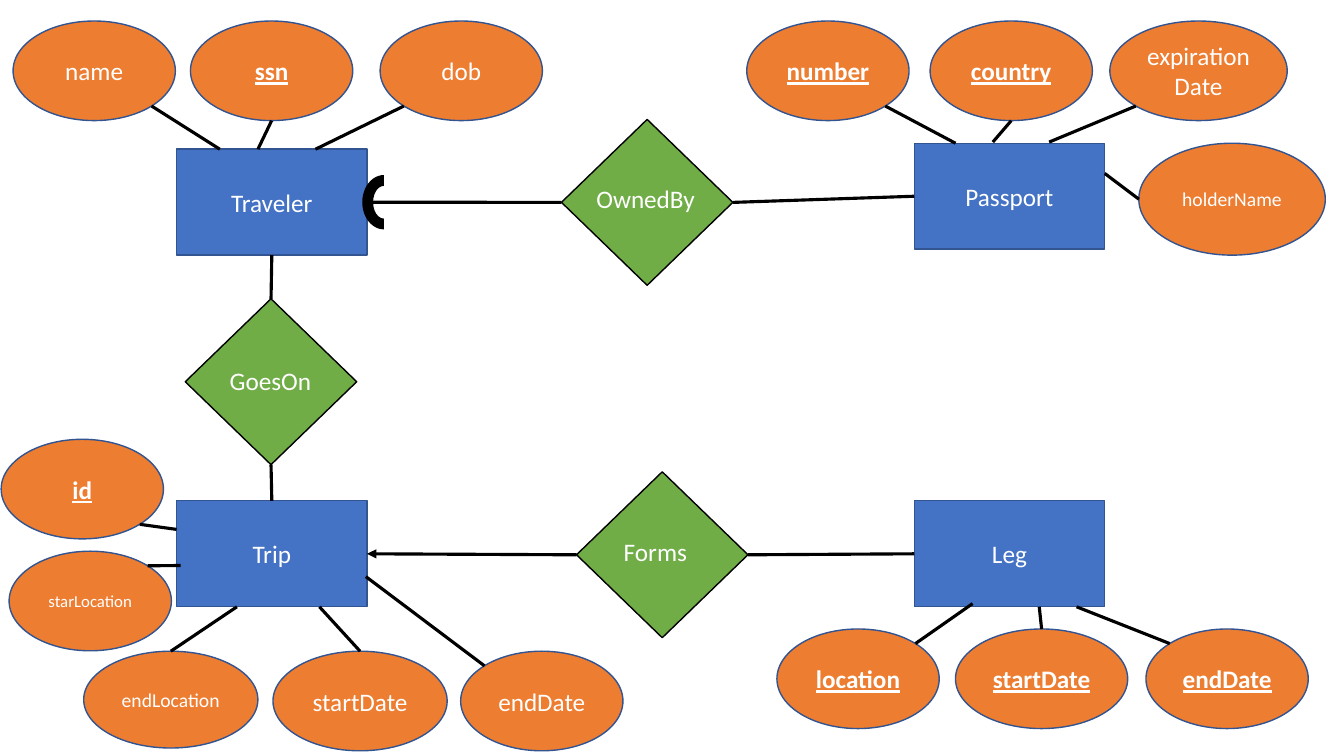
from math import sqrt
from pptx import Presentation
from pptx.dml.color import RGBColor
from pptx.enum.shapes import MSO_CONNECTOR, MSO_SHAPE
from pptx.enum.text import MSO_ANCHOR, PP_ALIGN
from pptx.oxml.ns import qn
from pptx.util import Cm, Pt
from lxml import etree

BLUE = RGBColor(0x44, 0x72, 0xC4)
ORANGE = RGBColor(0xED, 0x7D, 0x31)
GREEN = RGBColor(0x70, 0xAD, 0x47)
OUTLINE = RGBColor(0x32, 0x54, 0x91)
BLACK = RGBColor(0, 0, 0)
WHITE = RGBColor(255, 255, 255)

TOP, LEFT, BOTTOM, RIGHT = range(4)

prs = Presentation()
prs.slide_width, prs.slide_height = Cm(33.87), Cm(19.05)
slide = prs.slides.add_slide(prs.slide_layouts[6])


def add_figure(kind, x, y, w, h, fill, outline, label="", size=18, key=False):
    figure = slide.shapes.add_shape(kind, Cm(x), Cm(y), Cm(w), Cm(h))
    figure.shadow.inherit = False
    figure.fill.solid()
    figure.fill.fore_color.rgb = fill
    figure.line.color.rgb = outline
    figure.line.width = Pt(1)
    if label:
        frame = figure.text_frame
        frame.text = label
        frame.vertical_anchor = MSO_ANCHOR.MIDDLE
        frame.paragraphs[0].alignment = PP_ALIGN.CENTER
        font = frame.paragraphs[0].runs[0].font
        font.name, font.size, font.color.rgb = "Calibri", Pt(size), WHITE
        if key:
            font.bold = font.underline = True
    return figure


def add_line(x1=0, y1=0, x2=0, y2=0):
    line = slide.shapes.add_connector(
        MSO_CONNECTOR.STRAIGHT, Cm(x1), Cm(y1), Cm(x2), Cm(y2))
    line.line.color.rgb = BLACK
    line.line.width = Pt(2.25)
    etree.SubElement(line._element.spPr, qn("a:effectLst"))
    return line


# Entities
nodes = {}
for name, x, y in [("Traveler", 4.45, 3.76), ("Trip", 4.45, 12.62),
                   ("Passport", 23.04, 3.61), ("Leg", 23.04, 12.62)]:
    nodes[name] = add_figure(MSO_SHAPE.RECTANGLE, x, y, 4.8, 2.67,
                             BLUE, OUTLINE, name)

# Attributes: label, key, text size, box, side the line leaves from, line end
attributes = [
    ("name", False, 18, (0.33, 0.53, 4.09, 2.51), (1, 1), (5.54, 3.76)),
    ("ssn", True, 18, (4.8, 0.53, 4.09, 2.51), (0, 1), (6.5, 3.76)),
    ("dob", False, 18, (9.58, 0.53, 4.09, 2.51), (-1, 1), (7.95, 3.76)),
    ("number", True, 18, (18.82, 0.53, 4.09, 2.51), (1, 1), (24.08, 3.61)),
    ("country", True, 18, (23.44, 0.53, 4.09, 2.51), (0, 1), (25.02, 3.58)),
    ("expiration Date", False, 18, (27.97, 0.53, 4.47, 2.51), (-1, 1), (26.44, 3.58)),
    ("holderName", False, 14, (28.7, 3.61, 4.7, 2.82), (-1, 0), (27.84, 4.37)),
    ("id", True, 18, (0.03, 11.07, 4.09, 2.51), (1, 1), (4.45, 13.34)),
    ("starLocation", False, 12, (0.23, 13.89, 4.09, 2.51), (1, -1), (4.55, 14.25)),
    ("endLocation", False, 14, (2.11, 16.41, 4.39, 2.44), (0, -1), (5.97, 15.29)),
    ("startDate", False, 18, (6.88, 16.41, 4.39, 2.51), (0, -1), (8.05, 15.29)),
    ("endDate", False, 18, (11.61, 16.41, 4.09, 2.51), (-1, -1), (9.22, 14.53)),
    ("location", True, 18, (19.58, 15.85, 4.09, 2.51), (1, -1), (24.51, 15.21)),
    ("startDate", True, 18, (24.08, 15.85, 4.34, 2.51), (0, -1), (26.19, 15.29)),
    ("endDate", True, 18, (28.88, 15.85, 4.09, 2.51), (-1, -1), (27.13, 15.29)),
]
for label, key, size, (x, y, w, h), (dx, dy), line_end in attributes:
    add_figure(MSO_SHAPE.OVAL, x, y, w, h, ORANGE, OUTLINE, label, size, key)
    reach = 1 / sqrt(dx * dx + dy * dy)
    add_line(x + w / 2 * (1 + dx * reach), y + h / 2 * (1 + dy * reach), *line_end)

# Relationships, with their captions
for name, x, y, caption_x, caption_y, caption_w in [
        ("OwnedBy", 14.15, 3.01, 14.78, 4.5, 3.61),
        ("Forms", 14.53, 11.89, 15.47, 13.39, 3.35),
        ("GoesOn", 4.67, 7.53, 5.54, 9.07, 4.62)]:
    nodes[name] = add_figure(MSO_SHAPE.DIAMOND, x, y, 4.32, 4.18, GREEN, BLACK)
    caption = slide.shapes.add_textbox(
        Cm(caption_x), Cm(caption_y), Cm(caption_w), Cm(1.02)).text_frame
    caption.word_wrap = True
    caption.text = name
    font = caption.paragraphs[0].runs[0].font
    font.name, font.size, font.color.rgb = "Calibri", Pt(18), WHITE

# Lines between relationships and entities
for start, start_side, end, end_side in [
        ("GoesOn", TOP, "Traveler", BOTTOM),
        ("GoesOn", BOTTOM, "Trip", TOP),
        ("OwnedBy", LEFT, "Traveler", RIGHT),
        ("Passport", LEFT, "OwnedBy", RIGHT),
        ("Forms", RIGHT, "Leg", LEFT),
        ("Forms", LEFT, "Trip", RIGHT)]:
    link = add_line()
    link.begin_connect(nodes[start], start_side)
    link.end_connect(nodes[end], end_side)
    if (start, end) == ("Forms", "Trip"):
        etree.SubElement(link.line._get_or_add_ln(), qn("a:tailEnd"), type="triangle")

# Rounded arrow at Traveler
exactly_one = add_figure(MSO_SHAPE.BLOCK_ARC, 8.99, 4.55, 1.37, 1.09, BLACK, BLACK)
exactly_one.line.fill.background()
exactly_one.rotation = 270

prs.save("out.pptx")
